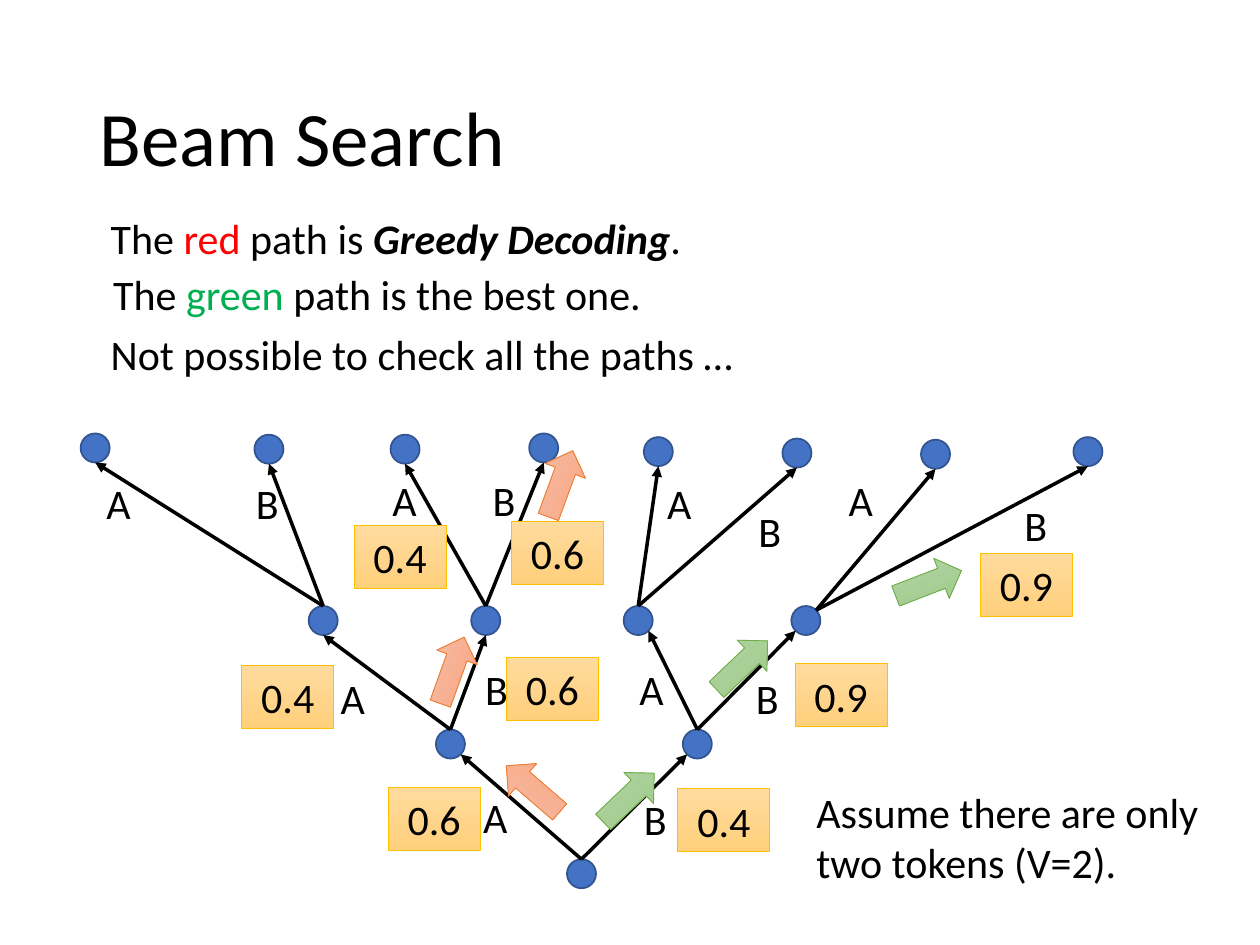
from dataclasses import dataclass
from math import sqrt

from lxml.etree import SubElement
from pptx import Presentation
from pptx.dml.color import RGBColor
from pptx.enum.shapes import MSO_CONNECTOR, MSO_SHAPE
from pptx.enum.text import MSO_ANCHOR, MSO_AUTO_SIZE, PP_ALIGN
from pptx.oxml.ns import qn
from pptx.util import Pt


@dataclass(frozen=True)
class Theme:
    font: str = "Calibri"
    head: int = 44
    body: int = 24
    ink: str = "000000"
    red: str = "FF0000"
    green: str = "00B050"
    node: tuple = ("4472C4", "325491")
    gold: tuple = ("FFDB9E", "FFD07C", "FFC000")
    rose: tuple = ("F7BDA5", "F8A582", "ED7D31")
    leaf: tuple = ("B5D5A7", "9CC987", "70AD47")


THEME = Theme()
SIZE = 16.6
HALF = SIZE / 2

NODES = [
    (324, 491),
    (249.1, 416.9), (390.2, 416.9),
    (176.4, 346.3), (269.3, 346.3), (356.4, 346.3), (452.2, 346.3),
    (46.1, 247.7), (145.4, 248.4), (223.2, 248.4), (302.4, 247.7),
    (367.9, 249.8), (447.1, 250.6), (526.3, 251.3), (613.4, 249.8),
]
ENTRY = {1: 1, 2: -1, 5: 1, 6: -1}
EXIT = {6: 1}
LABELS = [
    (262.1, 448.6), (353.5, 450),
    (180.7, 380.9), (262.8, 375.8), (351.4, 375.8), (417.6, 380.9),
    (46.8, 269.3), (131.8, 269.3), (210.2, 267.8), (267.1, 267.8),
    (367.2, 269.3), (419, 285.1), (470.9, 267.8), (571, 282.2),
]
SCORES = [
    ("0.4", 387.4, 450.7), ("0.9", 454.3, 379.4), ("0.9", 560.2, 316.1),
    ("0.6", 221.8, 450), ("0.4", 138.2, 380.2), ("0.4", 202.3, 300.2),
    ("0.6", 289.4, 375.8), ("0.6", 292.3, 298.1),
]
STEPS = [
    (THEME.rose, 284.4, 438.5, 220.8),
    (THEME.rose, 238.3, 370.8, 289.7),
    (THEME.rose, 300.2, 264.2, 290.2),
    (THEME.leaf, 339.1, 443.5, 316.4),
    (THEME.leaf, 403.9, 367.9, 316.4),
    (THEME.leaf, 510.5, 321.1, 338.9),
]
NOTES = [
    ((57.6, 149.8, 364.3, 36),
     [("The ", {}), ("green", {"color": THEME.green}), (" path is the best one.", {})]),
    ((56.2, 184.3, 391, 36), [("Not possible to check all the paths …", {})]),
    ((459.4, 445.7, 251.3, 65.5), [("Assume there are only two tokens (V=2).", {})]),
    ((56.2, 118.1, 470.9, 36),
     [("The ", {}), ("red", {"color": THEME.red}), (" path is ", {}),
      ("Greedy Decoding", {"bold": True, "italic": True}), (".", {})]),
]


def tint(code):
    return RGBColor.from_string(code)


def write(para, text, size=THEME.body, color=THEME.ink, bold=False, italic=False):
    run = para.add_run()
    run.text = text
    font = run.font
    font.name, font.size = THEME.font, Pt(size)
    font.bold, font.italic = bold, italic
    font.color.rgb = tint(color)


def rim(spot, side, sign):
    x, y = spot
    reach = HALF / sqrt(2) if side else HALF
    return x + HALF + side * reach, y + HALF + sign * reach


class Board:
    def __init__(self, deck, theme):
        self.theme = theme
        self.slide = deck.slides.add_slide(deck.slide_layouts[5])
        self.shapes = self.slide.shapes

    def title(self, text, *place):
        head = self.shapes.title
        head.left, head.top, head.width, head.height = map(Pt, place)
        frame = head.text_frame
        frame.auto_size = MSO_AUTO_SIZE.NONE
        frame.vertical_anchor = MSO_ANCHOR.MIDDLE
        para = frame.paragraphs[0]
        para.alignment = PP_ALIGN.LEFT
        para.line_spacing = 0.9
        write(para, text, size=self.theme.head)

    def text(self, place, runs, align=PP_ALIGN.LEFT):
        frame = self.shapes.add_textbox(*map(Pt, place)).text_frame
        frame.word_wrap = True
        para = frame.paragraphs[0]
        para.alignment = align
        for words, style in runs:
            write(para, words, **style)

    def shape(self, kind, place, edge, width):
        item = self.shapes.add_shape(kind, *map(Pt, place))
        item.shadow.inherit = False
        item.line.color.rgb = tint(edge)
        item.line.width = Pt(width)
        return item

    def node(self, x, y):
        fill, edge = self.theme.node
        item = self.shape(MSO_SHAPE.OVAL, (x, y, SIZE, SIZE), edge, 1)
        item.fill.solid()
        item.fill.fore_color.rgb = tint(fill)

    def blend(self, kind, place, hues):
        item = self.shape(kind, place, hues[2], 0.5)
        item.fill.gradient()
        item.fill.gradient_angle = 270
        for stop, hue in zip(item.fill.gradient_stops, hues):
            stop.color.rgb = tint(hue)
        return item

    def score(self, text, x, y):
        item = self.blend(MSO_SHAPE.RECTANGLE, (x, y, 52.6, 36), self.theme.gold)
        para = item.text_frame.paragraphs[0]
        para.alignment = PP_ALIGN.CENTER
        write(para, text)

    def step(self, hues, x, y, turn):
        item = self.blend(MSO_SHAPE.RIGHT_ARROW, (x, y, 40.3, 24.5), hues)
        item.rotation = turn

    def edge(self, start, end):
        line = self.shapes.add_connector(MSO_CONNECTOR.STRAIGHT, *map(Pt, start + end))
        line.line.color.rgb = tint(self.theme.ink)
        line.line.width = Pt(2)
        SubElement(line.line._get_or_add_ln(), qn("a:tailEnd"), type="triangle")
        SubElement(line._element.spPr, qn("a:effectLst"))


def main():
    deck = Presentation()
    deck.slide_width, deck.slide_height = Pt(720), Pt(540)
    board = Board(deck, THEME)
    board.title("Beam Search", 49.7, 28.8, 620.6, 104.4)
    for spot in NODES:
        board.node(*spot)
    for child in range(1, len(NODES)):
        root = (child - 1) // 2
        board.edge(rim(NODES[root], EXIT.get(root, 0), -1),
                   rim(NODES[child], ENTRY.get(child, 0), 1))
    for rank, (x, y) in enumerate(LABELS):
        board.text((x, y, 41.8, 36), [("AB"[rank % 2], {})], PP_ALIGN.CENTER)
    for score in SCORES:
        board.score(*score)
    for step in STEPS:
        board.step(*step)
    for place, runs in NOTES:
        board.text(place, runs)
    deck.save("out.pptx")


if __name__ == "__main__":
    main()
